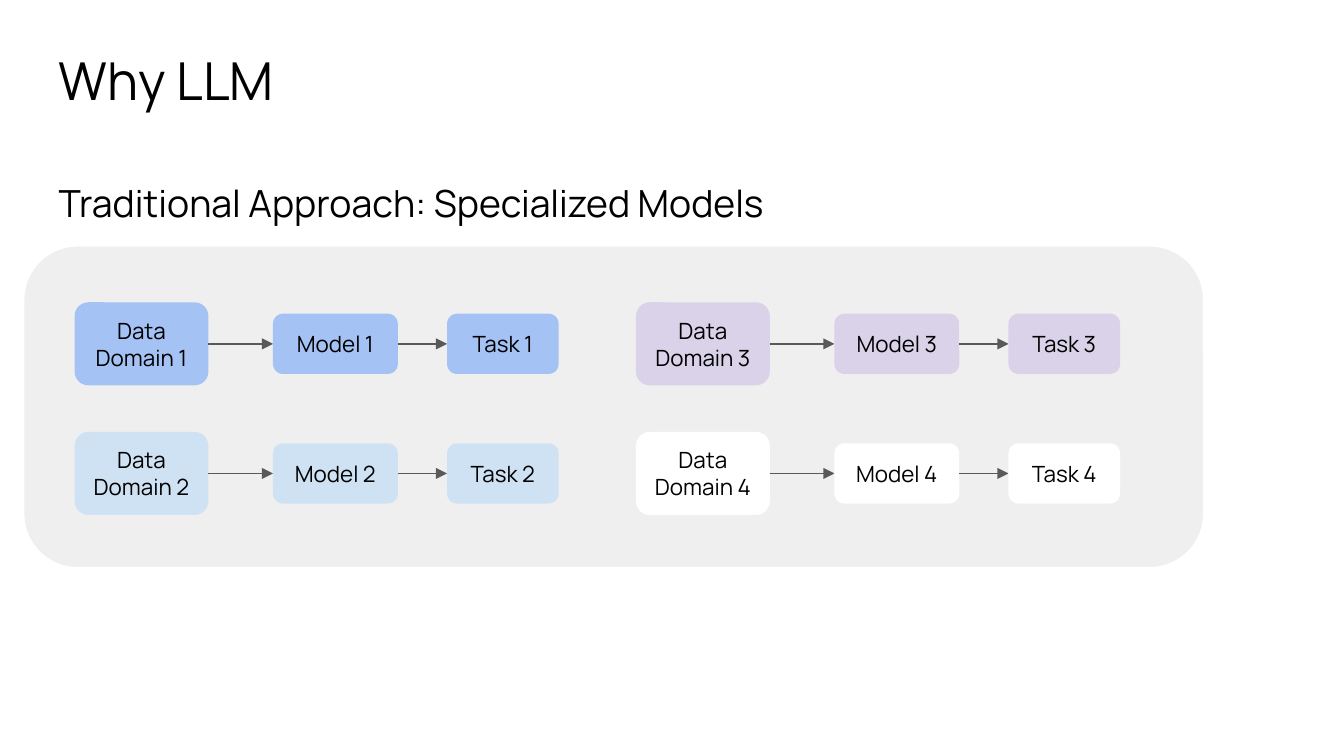
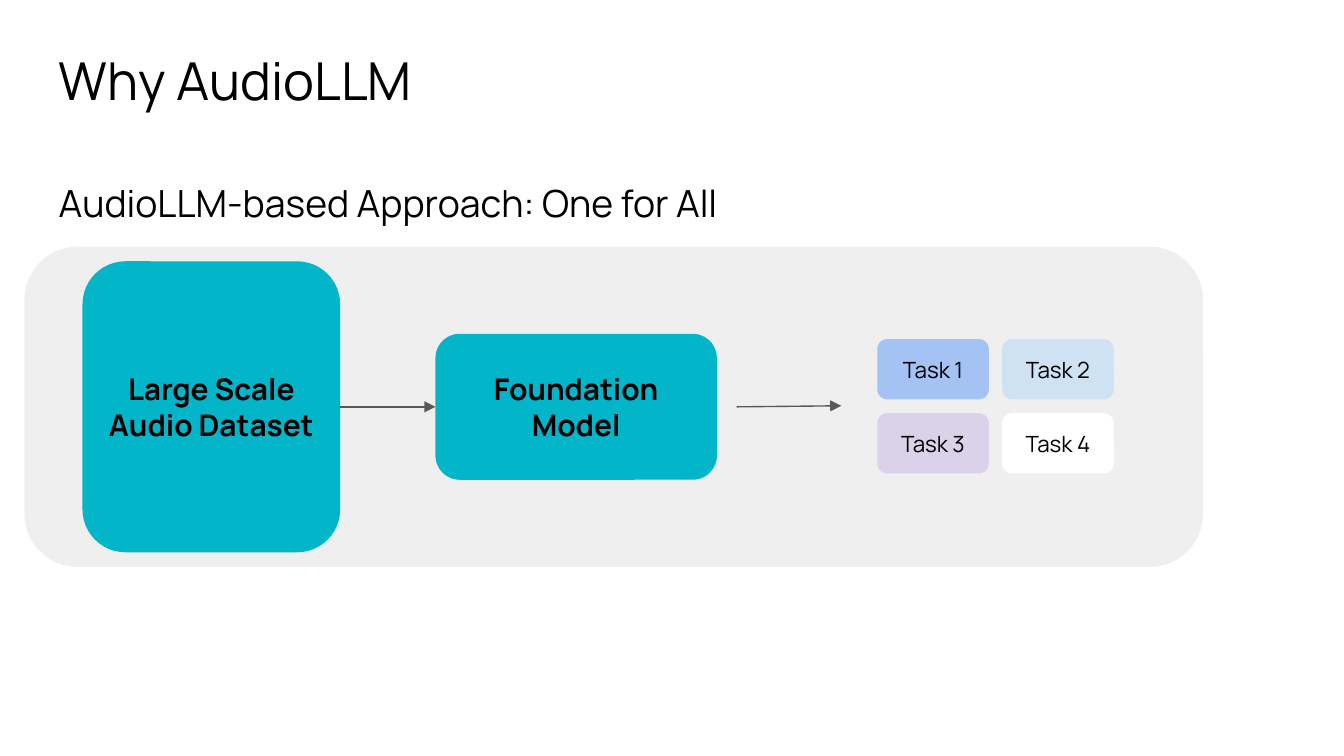
from lxml.etree import SubElement
from pptx import Presentation
from pptx.dml.color import RGBColor
from pptx.enum.shapes import MSO_CONNECTOR, MSO_SHAPE
from pptx.enum.text import MSO_ANCHOR, PP_ALIGN
from pptx.oxml.ns import qn
from pptx.util import Cm, Pt

FONT = "Manrope"
COLORS = {
    "text": "000000",
    "white": "FFFFFF",
    "panel": "EFEFEF",
    "arrow": "595959",
    "teal": "02B5C8",
    "blue": "A4C2F4",
    "sky": "CFE2F3",
    "lilac": "D9D2E9",
}
TASK_COLORS = ["blue", "sky", "lilac", "white"]

# Lengths in centimetres
PANEL_TOP, PANEL_HEIGHT = 4.65, 6.08
PANEL_MIDDLE = PANEL_TOP + PANEL_HEIGHT / 2
DOMAIN_SIZE = (2.53, 1.57)
MODEL_SIZE = (2.36, 1.14)
TASK_SIZE = (2.11, 1.14)


def rgb(name):
    return RGBColor.from_string(COLORS[name])


def write(frame, text, size, bold=False):
    """Fill a text frame with one paragraph and return it."""
    frame.word_wrap = True
    frame.margin_left = frame.margin_right = Cm(0.25)
    frame.margin_top = frame.margin_bottom = Cm(0.25)
    paragraph = frame.paragraphs[0]
    paragraph.text = text
    paragraph.font.name = FONT
    paragraph.font.size = Pt(size)
    paragraph.font.bold = bold
    paragraph.font.color.rgb = rgb("text")
    return paragraph


def add_heading(slide, text, top, size):
    box = slide.shapes.add_textbox(Cm(0.86), Cm(top), Cm(23.67), Cm(1.59))
    write(box.text_frame, text, size).line_spacing = 0.9


def add_rounded(slide, left, top, width, height, color):
    shape = slide.shapes.add_shape(
        MSO_SHAPE.ROUNDED_RECTANGLE, Cm(left), Cm(top), Cm(width), Cm(height))
    shape.shadow.inherit = False
    shape.fill.solid()
    shape.fill.fore_color.rgb = rgb(color)
    shape.line.fill.background()
    return shape


def add_node(slide, text, left, middle, size, color, font_size=12, bold=False):
    """Add a labelled box centred vertically on middle."""
    width, height = size
    node = add_rounded(slide, left, middle - height / 2, width, height, color)
    node.text_frame.vertical_anchor = MSO_ANCHOR.MIDDLE
    write(node.text_frame, text, font_size, bold).alignment = PP_ALIGN.CENTER


def add_arrow(slide, x1, y1, x2, y2):
    arrow = slide.shapes.add_connector(
        MSO_CONNECTOR.STRAIGHT, Cm(x1), Cm(y1), Cm(x2), Cm(y2))
    arrow.line.color.rgb = rgb("arrow")
    arrow.line.width = Pt(0.75)
    SubElement(arrow.line._get_or_add_ln(), qn("a:tailEnd"), type="triangle")
    SubElement(arrow._element.spPr, qn("a:effectLst"))


def add_base(prs, title, subtitle):
    """Start a slide with its title, subtitle and grey panel."""
    slide = prs.slides.add_slide(prs.slide_layouts[6])
    panel = add_rounded(slide, 0.45, PANEL_TOP, 22.3, PANEL_HEIGHT, "panel")
    panel.line.color.rgb = rgb("white")
    panel.line.width = Pt(0.75)
    add_heading(slide, title, 0.79, 28)
    add_heading(slide, subtitle, 3.25, 20)
    return slide


def add_chain(slide, number, left, middle, color):
    """Add one data domain, its model and its task, joined by arrows."""
    model_left, task_left = left + 3.75, left + 7.04
    add_node(slide, f"Data Domain {number}", left, middle, DOMAIN_SIZE, color)
    add_arrow(slide, left + DOMAIN_SIZE[0], middle, model_left, middle)
    add_node(slide, f"Model {number}", model_left, middle, MODEL_SIZE, color)
    add_arrow(slide, model_left + MODEL_SIZE[0], middle, task_left, middle)
    add_node(slide, f"Task {number}", task_left, middle, TASK_SIZE, color)


def build_specialized(prs):
    slide = add_base(prs, "Why LLM", "Traditional Approach: Specialized Models")
    # Chains run down the first column, then the second
    for i, color in enumerate(TASK_COLORS):
        column, row = divmod(i, 2)
        add_chain(slide, i + 1, 1.41 + column * 10.61, 6.5 + row * 2.45, color)


def build_one_for_all(prs):
    slide = add_base(prs, "Why AudioLLM", "AudioLLM-based Approach: One for All")
    # Dataset feeding the foundation model
    add_node(slide, "Large Scale Audio Dataset", 1.56, PANEL_MIDDLE,
             (4.87, 5.5), "teal", 16, True)
    add_arrow(slide, 6.43, PANEL_MIDDLE, 8.23, PANEL_MIDDLE)
    add_node(slide, "Foundation Model", 8.23, PANEL_MIDDLE,
             (5.32, 2.76), "teal", 16, True)
    add_arrow(slide, 13.92, 7.69, 15.9, 7.67)
    # Task grid, filled row by row
    for i, color in enumerate(TASK_COLORS):
        row, column = divmod(i, 2)
        add_node(slide, f"Task {i + 1}", 16.58 + column * 2.36,
                 6.98 + row * 1.4, TASK_SIZE, color)


def main():
    prs = Presentation()
    prs.slide_width, prs.slide_height = Cm(25.4), Cm(14.29)
    build_specialized(prs)
    build_one_for_all(prs)
    prs.save("out.pptx")


if __name__ == "__main__":
    main()
